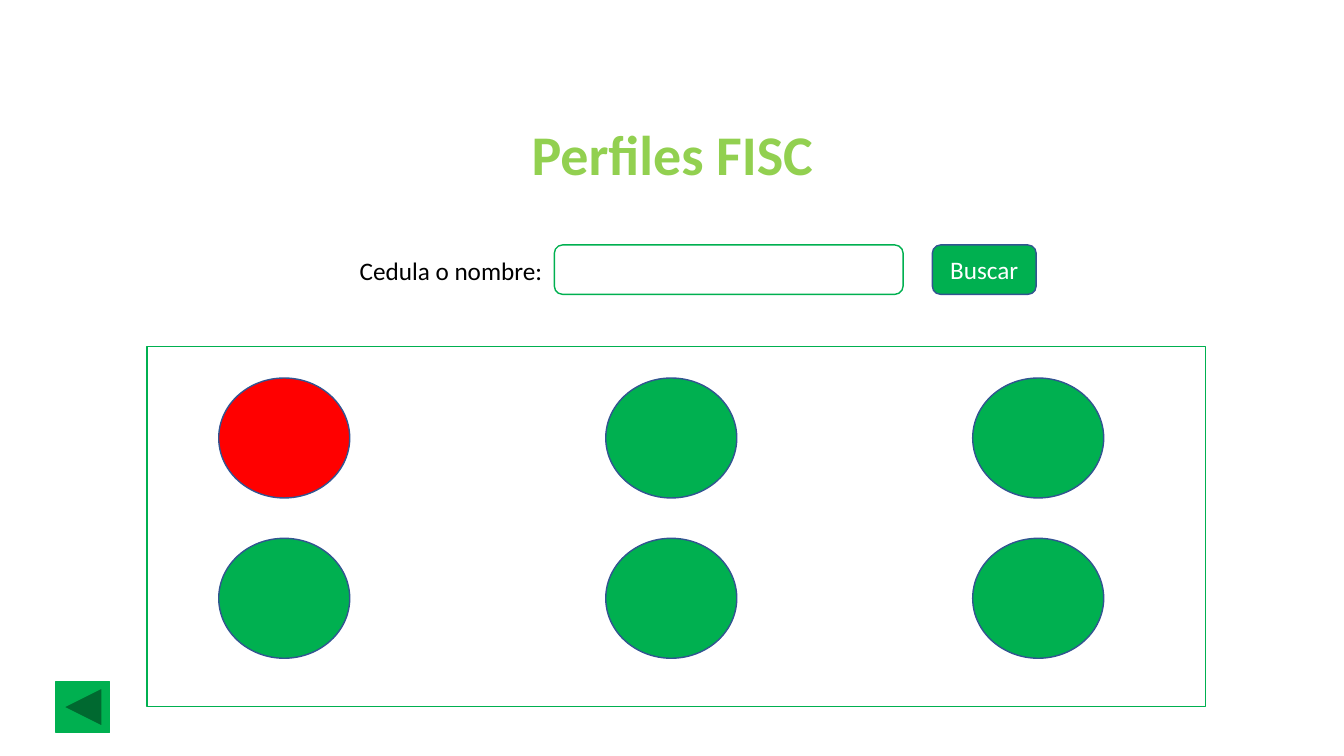
"""Build the FISC profile search slide."""
from itertools import product

from pptx import Presentation
from pptx.dml.color import RGBColor
from pptx.enum.shapes import MSO_SHAPE
from pptx.enum.text import MSO_ANCHOR, PP_ALIGN
from pptx.util import Pt

COLORS = {
    "white": "FFFFFF",
    "black": "000000",
    "green": "00B050",
    "lime": "92D050",
    "red": "FF0000",
    "blue": "325491",
}
PROFILE_LEFTS = (156.24, 432.72, 694.8)
PROFILE_TOPS = (270, 384.48)


def color(name):
    """Return the named colour."""
    return RGBColor.from_string(COLORS[name])


def add_box(slide, kind, left, top, width, height, fill, line):
    """Add a preset shape with a one-point outline and an optional fill."""
    box = slide.shapes.add_shape(kind, Pt(left), Pt(top), Pt(width), Pt(height))
    box.shadow.inherit = False
    if fill:
        box.fill.solid()
        box.fill.fore_color.rgb = color(fill)
    else:
        box.fill.background()
    box.line.color.rgb = color(line)
    box.line.width = Pt(1)
    return box


def write(box, text, size, ink, align=PP_ALIGN.LEFT, bold=False):
    """Write one formatted line of text in a box."""
    frame = box.text_frame
    frame.text = text
    frame.word_wrap = True
    para = frame.paragraphs[0]
    para.alignment = align
    span = para.runs[0]
    span.font.name = "Calibri"
    span.font.size = Pt(size)
    span.font.bold = bold
    span.font.color.rgb = color(ink)


def add_label(slide, left, top, width, height, text, size, ink, **style):
    """Add a text box holding one line."""
    box = slide.shapes.add_textbox(Pt(left), Pt(top), Pt(width), Pt(height))
    write(box, text, size, ink, **style)


def add_profiles(slide):
    """Add the grid of profile circles, the first one in red."""
    for index, (left, top) in enumerate(product(PROFILE_LEFTS, PROFILE_TOPS)):
        fill = "green" if index else "red"
        add_box(slide, MSO_SHAPE.OVAL, left, top, 93.6, 85.68, fill, "blue")


def add_search(slide):
    """Add the search label, its field and its button."""
    add_label(slide, 249.84, 178.56, 146.16, 28.8, "Cedula o nombre:", 18, "black")
    rounded = MSO_SHAPE.ROUNDED_RECTANGLE
    add_box(slide, rounded, 396, 174.96, 249.12, 35.28, None, "green")
    button = add_box(slide, rounded, 666, 174.96, 74.16, 35.28, "green", "blue")
    write(button, "Buscar", 18, "white", align=PP_ALIGN.CENTER)
    button.text_frame.vertical_anchor = MSO_ANCHOR.MIDDLE


def main():
    """Build and save the deck."""
    deck = Presentation()
    deck.slide_width, deck.slide_height = Pt(960), Pt(540)
    page = deck.slides.add_slide(deck.slide_layouts[6])
    panel = add_box(page, MSO_SHAPE.ROUNDED_RECTANGLE,
                    105.12, 247.68, 756, 257.04, "white", "green")
    panel.adjustments[0] = 0
    add_label(page, 102.24, 82.08, 756, 55.44, "Perfiles FISC", 40, "lime",
              align=PP_ALIGN.CENTER, bold=True)
    add_profiles(page)
    add_box(page, MSO_SHAPE.ACTION_BUTTON_BACK_OR_PREVIOUS,
            40.02, 486.72, 38.16, 36.72, "green", "green")
    add_search(page)
    deck.save("out.pptx")


if __name__ == "__main__":
    main()
